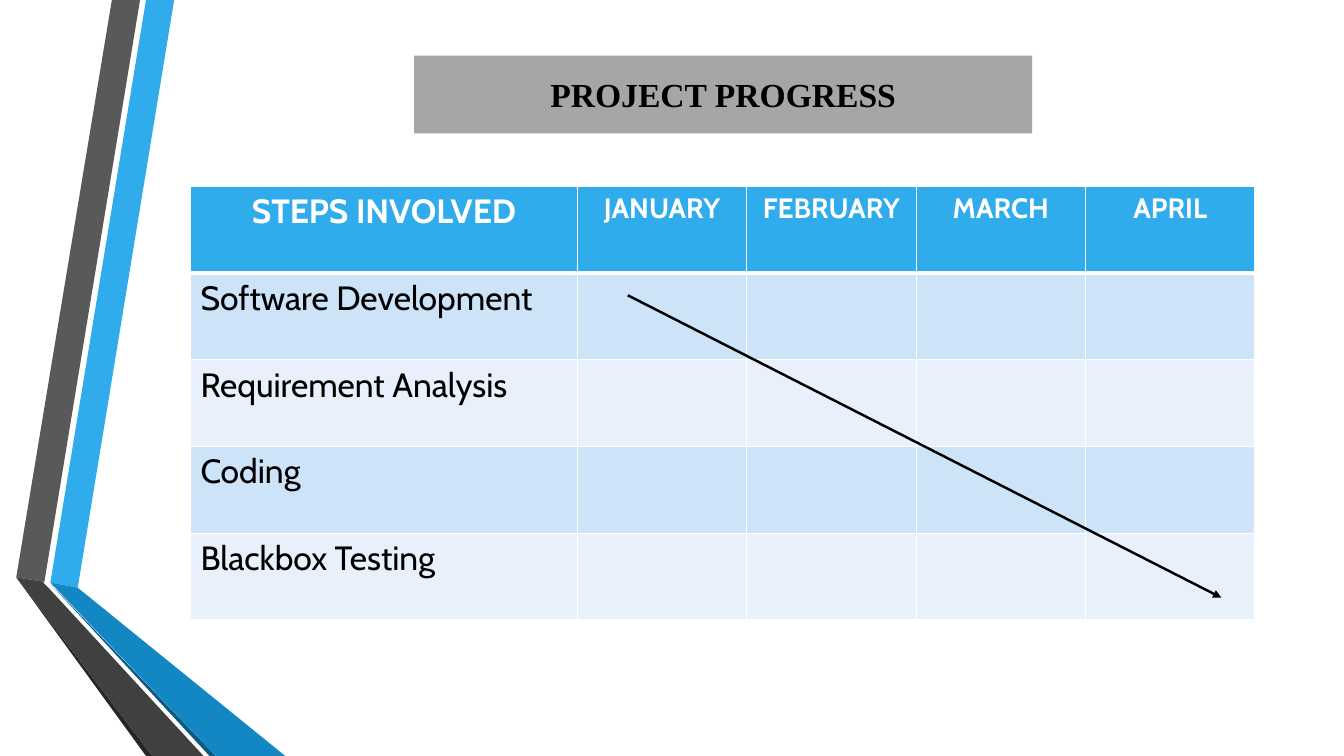
from lxml import etree
from pptx import Presentation, util as u
from pptx.dml.color import RGBColor
from pptx.enum import shapes, text
from pptx.oxml import parse_xml
from pptx.oxml.ns import nsdecls, qn

WIDTH, HEIGHT = 33.87, 19.05

# Fill and corner points in cm, from back to front
RIBBONS = [
    ("30ACEC", [(1.27, 14.68), (1.96, 14.81), (4.39, 0), (3.68, 0)]),
    ("595959", [(3.53, 0), (2.82, 0), (0.41, 14.55), (1.12, 14.66)]),
    ("262626", [(0.41, 14.55), (3.68, HEIGHT), (3.84, HEIGHT)]),
    ("0C5A82", [(1.27, 14.71), (5.28, HEIGHT), (5.44, HEIGHT)]),
    ("1287C3", [(1.27, 14.68), (5.44, HEIGHT), (7.19, HEIGHT), (1.96, 14.81)]),
    ("404040", [(5.13, HEIGHT), (1.22, 14.81), (1.09, 14.68), (1.12, 14.66),
                (0.41, 14.55), (3.84, HEIGHT)]),
]
MONTHS = ["JANUARY", "FEBRUARY", "MARCH", "APRIL"]
STEPS = ["Software Development", "Requirement Analysis", "Coding", "Blackbox Testing"]


def color(hex_string):
    return RGBColor.from_string(hex_string)


def fill_plain(shape, hex_string):
    shape.shadow.inherit = False
    shape.fill.solid()
    shape.fill.fore_color.rgb = color(hex_string)
    shape.line.fill.background()


def write(frame, words, size=24, font="Cabin", ink="000000", bold=False, align="LEFT"):
    paragraph = frame.paragraphs[0]
    paragraph.alignment = getattr(text.PP_ALIGN, align)
    run = paragraph.add_run()
    run.text = words
    run.font.size = u.Pt(size)
    run.font.name = font
    run.font.bold = bold
    run.font.color.rgb = color(ink)


def set_borders(cell, **widths):
    """Draw white cell borders; widths in points, keyed by L, R, T and B."""
    properties = cell._tc.get_or_add_tcPr()
    for index, (side, width) in enumerate(widths.items()):
        properties.insert(index, parse_xml(
            f'<a:ln{side} {nsdecls("a")} w="{u.Pt(width)}"><a:solidFill>'
            f'<a:srgbClr val="FFFFFF"/></a:solidFill></a:ln{side}>'))


def add_ribbons(slide, left, top):
    for fill, points in RIBBONS:
        corners = [(u.Cm(x), u.Cm(y)) for x, y in points]
        builder = slide.shapes.build_freeform(*corners[0])
        builder.add_line_segments(corners[1:], close=True)
        fill_plain(builder.convert_to_shape(u.Cm(left), u.Cm(top)), fill)


def add_title(slide, left, top, width, height):
    banner = slide.shapes.add_shape(
        shapes.MSO_SHAPE.RECTANGLE, u.Cm(left), u.Cm(top), u.Cm(width), u.Cm(height))
    fill_plain(banner, "A6A6A6")
    banner.text_frame.vertical_anchor = text.MSO_ANCHOR.MIDDLE
    write(banner.text_frame, "PROJECT PROGRESS", font="Times New Roman",
          bold=True, align="CENTER")


def add_schedule(slide, left, top, width, height):
    rows, columns = len(STEPS) + 1, len(MONTHS) + 1
    table = slide.shapes.add_table(
        rows, columns, u.Cm(left), u.Cm(top), u.Cm(width), u.Cm(height)).table
    table.horz_banding = False
    step_width = 9.75
    month_width = (width - step_width) / len(MONTHS)
    for index, column in enumerate(table.columns):
        column.width = u.Cm(month_width if index else step_width)
    for index, row in enumerate(table.rows):
        row.height = u.Cm(height / rows)
        fill = ("CDE3F8" if index % 2 else "E8F1FB") if index else "30ACEC"
        for cell in row.cells:
            cell.fill.solid()
            cell.fill.fore_color.rgb = color(fill)
            set_borders(cell, L=1, R=1, T=3 if index == 1 else 1, B=1 if index else 3)

    for index, heading in enumerate(["STEPS INVOLVED"] + MONTHS):
        write(table.cell(0, index).text_frame, heading, size=20 if index else 24,
              ink="FFFFFF", bold=True, align="CENTER")
    for index, step in enumerate(STEPS, start=1):
        write(table.cell(index, 0).text_frame, step)


def add_progress_arrow(slide, left, top, width, height):
    arrow = slide.shapes.add_connector(
        shapes.MSO_CONNECTOR.STRAIGHT, u.Cm(left), u.Cm(top),
        u.Cm(left + width), u.Cm(top + height))
    arrow.line.color.rgb = color("000000")
    arrow.line.width = u.Pt(1.75)
    etree.SubElement(arrow.line._get_or_add_ln(), qn("a:tailEnd"), type="triangle")
    etree.SubElement(arrow._element.spPr, qn("a:effectLst"))


def main():
    presentation = Presentation()
    presentation.slide_width = u.Cm(WIDTH)
    presentation.slide_height = u.Cm(HEIGHT)
    slide = presentation.slides.add_slide(presentation.slide_layouts[6])
    add_ribbons(slide, 0, 0)
    add_title(slide, 10.44, 1.4, 15.57, 1.96)
    add_schedule(slide, 4.8, 4.7, 26.83, 10.92)
    add_progress_arrow(slide, 15.82, 7.44, 14.96, 7.62)
    presentation.save("out.pptx")


if __name__ == "__main__":
    main()
